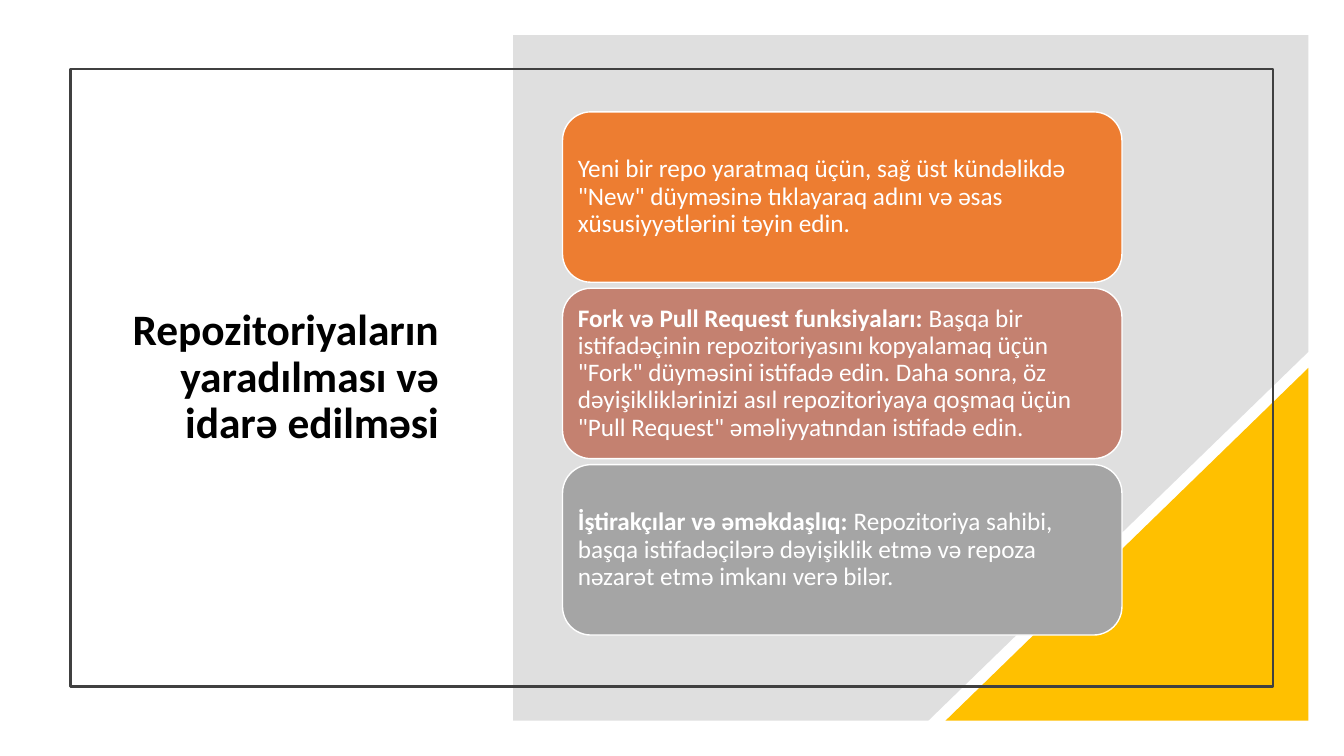
from dataclasses import dataclass
from typing import NamedTuple, Optional

from lxml.etree import SubElement
from pptx import Presentation
from pptx.dml.color import RGBColor as RGB
from pptx.enum.shapes import MSO_SHAPE as SHAPE
from pptx.enum.text import MSO_ANCHOR as ANCHOR, PP_ALIGN as ALIGN
from pptx.oxml.ns import qn
from pptx.shapes.autoshape import Shape
from pptx.slide import Slide
from pptx.text.text import TextFrame
from pptx.util import Pt


@dataclass(frozen=True)
class Theme:
    font: str = "Calibri"
    title_size: float = 31
    card_size: float = 18
    black: str = "000000"
    white: str = "FFFFFF"
    panel: str = "808080"
    corner: str = "FFC000"
    frame: str = "404040"
    orange: str = "ED7D31"
    rose: str = "C48170"
    gray: str = "A5A5A5"


class Box(NamedTuple):
    left: float
    top: float
    width: float
    height: float


class Card(NamedTuple):
    fill: str
    lead: str
    body: str


THEME = Theme()
TITLE = "Repozitoriyaların yaradılması və idarə edilməsi"
TITLE_BOX = Box(79.2, 93.6, 241.2, 352.8)
PANEL = [(366.5, 25.2), (934.6, 25.2), (934.6, 251.3), (663.1, 514.8), (366.5, 514.8)]
CORNER = Box(675.4, 262.8, 259.2, 252)
FRAME = Box(50.4, 49, 859, 441.4)
FIRST_CARD = Box(401.8, 79.9, 399.6, 121.7)
CARD_PITCH = 126
CARD_INSET = 5
CARDS = [
    Card(THEME.orange, "",
         'Yeni bir repo yaratmaq üçün, sağ üst kündəlikdə "New" düyməsinə '
         "tıklayaraq adını və əsas xüsusiyyətlərini təyin edin."),
    Card(THEME.rose, "Fork və Pull Request funksiyaları:",
         ' Başqa bir istifadəçinin repozitoriyasını kopyalamaq üçün "Fork" '
         "düyməsini istifadə edin. Daha sonra, öz dəyişikliklərinizi asıl "
         'repozitoriyaya qoşmaq üçün "Pull Request" əməliyyatından istifadə edin.'),
    Card(THEME.gray, "İştirakçılar və əməkdaşlıq:",
         " Repozitoriya sahibi, başqa istifadəçilərə dəyişiklik etmə və repoza "
         "nəzarət etmə imkanı verə bilər."),
]


def style(s: Shape, fill: Optional[str] = None, line: Optional[str] = None,
          weight: float = 1) -> Shape:
    s.shadow.inherit = False
    if fill:
        s.fill.solid()
        s.fill.fore_color.rgb = RGB.from_string(fill)
    else:
        s.fill.background()
    if line:
        s.line.color.rgb = RGB.from_string(line)
        s.line.width = Pt(weight)
    else:
        s.line.fill.background()
    return s


def add_shape(slide: Slide, kind: SHAPE, box: Box, fill: Optional[str] = None,
              line: Optional[str] = None, weight: float = 1) -> Shape:
    s = slide.shapes.add_shape(kind, *map(Pt, box))
    return style(s, fill, line, weight)


def write(tf: TextFrame, runs: list[tuple[str, bool]], size: float, color: str,
          align: ALIGN, inset: Optional[float] = None) -> None:
    frame_format = {"word_wrap": True, "vertical_anchor": ANCHOR.MIDDLE}
    if inset is not None:
        for side in ("left", "top", "right", "bottom"):
            frame_format[f"margin_{side}"] = Pt(inset)
    for name, value in frame_format.items():
        setattr(tf, name, value)
    p = tf.paragraphs[0]
    for name, value in {"alignment": align, "line_spacing": 0.9}.items():
        setattr(p, name, value)
    for text, bold in runs:
        r = p.add_run()
        r.text = text
        for name, value in {"name": THEME.font, "size": Pt(size), "bold": bold}.items():
            setattr(r.font, name, value)
        r.font.color.rgb = RGB.from_string(color)


def add_panel(slide: Slide) -> None:
    start, *rest = [(Pt(x), Pt(y)) for x, y in PANEL]
    builder = slide.shapes.build_freeform(*start)
    builder.add_line_segments(rest, close=True)
    s = style(builder.convert_to_shape(), THEME.panel)
    color = s._element.spPr.find(qn("a:solidFill"))[0]
    SubElement(color, qn("a:alpha")).set("val", "25000")


def add_corner(slide: Slide) -> None:
    s = add_shape(slide, SHAPE.RIGHT_TRIANGLE, CORNER, THEME.corner)
    s._element.spPr.find(qn("a:xfrm")).set("flipH", "1")


def add_card(slide: Slide, card: Card, box: Box) -> None:
    s = add_shape(slide, SHAPE.ROUNDED_RECTANGLE, box, card.fill, THEME.white)
    runs = [(text, bold) for text, bold in ((card.lead, True), (card.body, False)) if text]
    write(s.text_frame, runs, THEME.card_size, THEME.white, ALIGN.LEFT, CARD_INSET)


def main() -> None:
    prs = Presentation()
    prs.slide_width, prs.slide_height = Pt(960), Pt(540)
    slide = prs.slides.add_slide(prs.slide_layouts[6])
    title = slide.shapes.add_textbox(*map(Pt, TITLE_BOX))
    write(title.text_frame, [(TITLE, True)], THEME.title_size, THEME.black, ALIGN.RIGHT)
    add_panel(slide)
    add_corner(slide)
    add_shape(slide, SHAPE.RECTANGLE, FRAME, line=THEME.frame, weight=1.5)
    for i, card in enumerate(CARDS):
        add_card(slide, card, FIRST_CARD._replace(top=FIRST_CARD.top + i * CARD_PITCH))
    prs.save("out.pptx")


if __name__ == "__main__":
    main()
